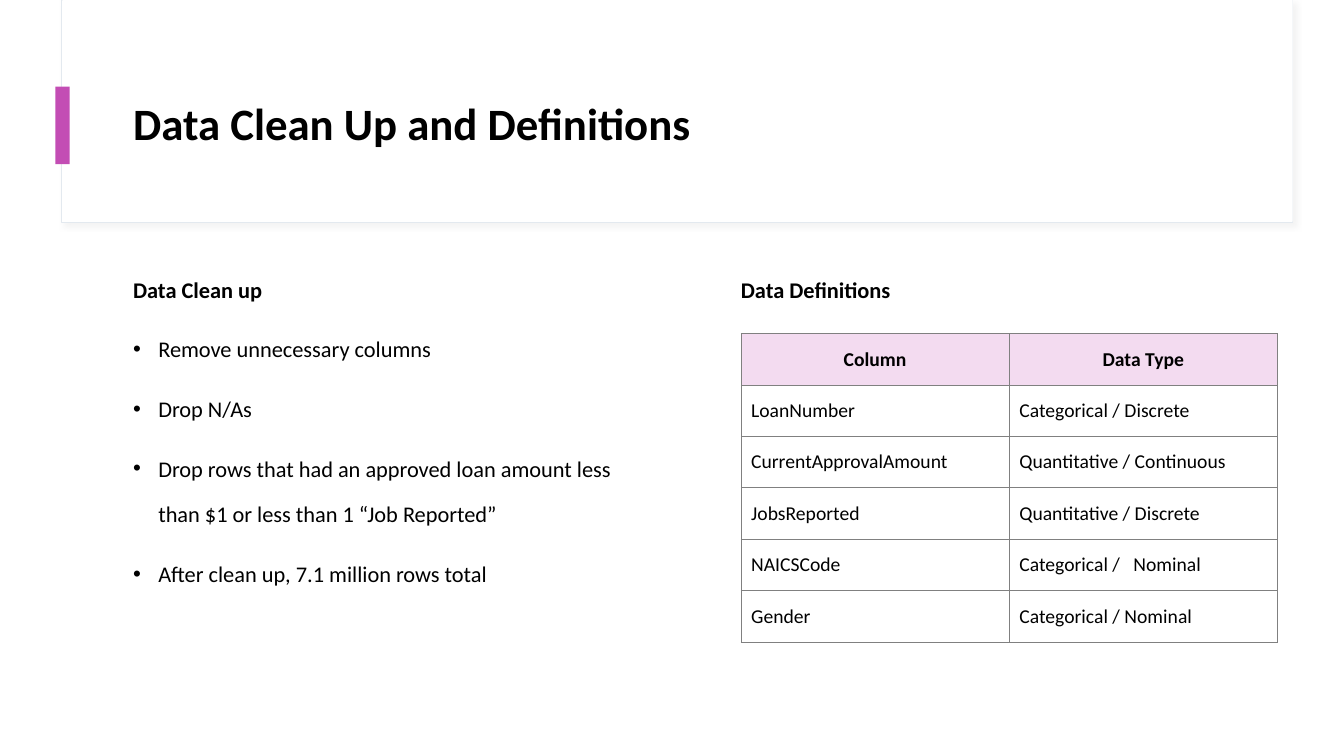
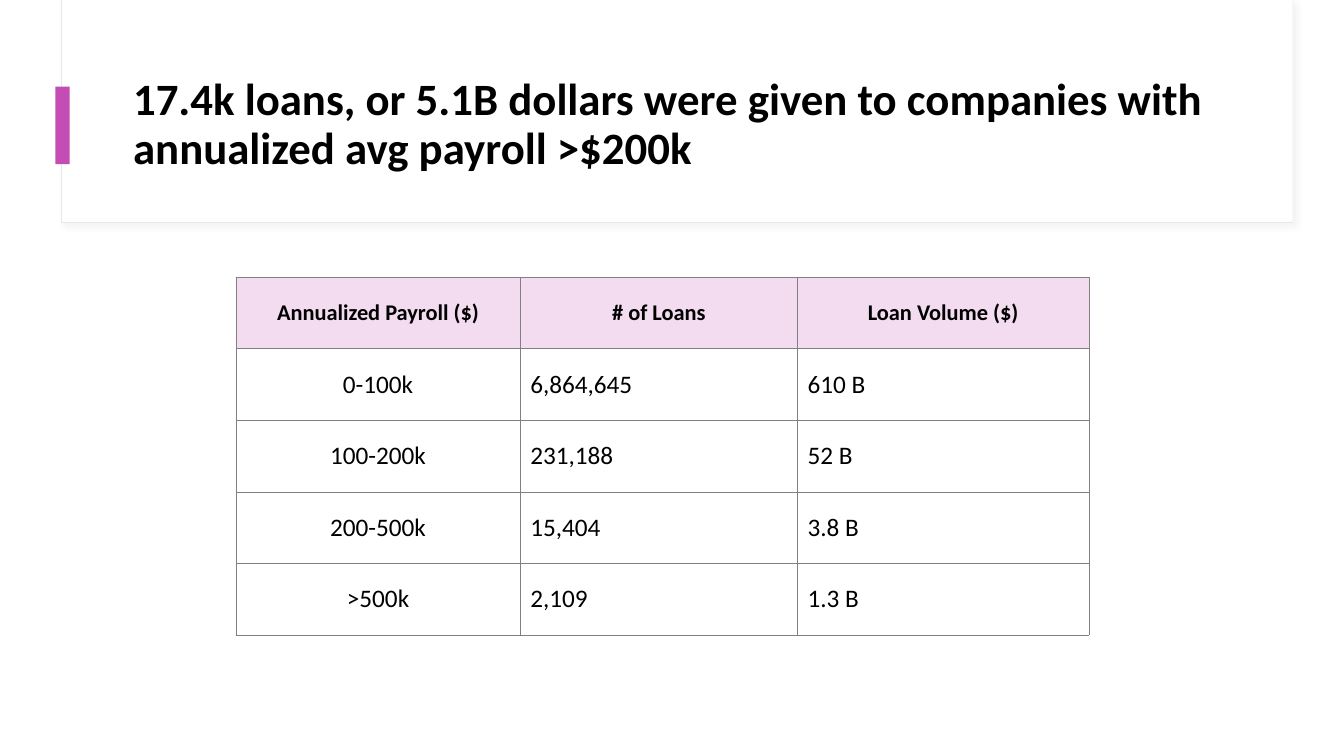
from lxml import etree
from pptx import Presentation
from pptx.dml.color import RGBColor
from pptx.enum.shapes import MSO_SHAPE
from pptx.enum.text import MSO_ANCHOR, MSO_AUTO_SIZE, PP_ALIGN
from pptx.oxml.ns import qn
from pptx.util import Inches, Pt

RECT = MSO_SHAPE.RECTANGLE
TOP, MIDDLE = MSO_ANCHOR.TOP, MSO_ANCHOR.MIDDLE
LEFT, CENTER = PP_ALIGN.LEFT, PP_ALIGN.CENTER
FIXED = MSO_AUTO_SIZE.NONE
TITLE_AND_CONTENT, TITLE_ONLY = 1, 5

# Shared style
FONT = "Calibri"
BLACK, WHITE, ACCENT = "000000", "FFFFFF", "C34DB4"
BAND_LINE, BAND_SHADOW = "E3E9EF", "D9D9D9"
HEADER_FILL, GRID = "F3DBF0", "808080"
TITLE_BOX = (1.22, 0.6, 11.12, 1.29)
BODY_BOX = (1.22, 2.5, 5.1, 4.25)
TITLE_FORMAT = {"alignment": LEFT, "line_spacing": 0.9}
BODY_FORMAT = {"alignment": LEFT, "line_spacing": 1.7, "space_before": Pt(10)}
LABEL_FORMAT = {"line_spacing": 1.7}

# Title band: box, fill, line
BAND = [
    ((0.61, 0, 12.21, 2.21), WHITE, BAND_LINE),
    ((0.62, 0, 12.2, 2.2), WHITE, None),
    ((0.55, 0.86, 0.14, 0.77), ACCENT, None),
]

# Content
CLEANUP = {
    "title": "Data Clean Up and Definitions",
    "heading": "Data Clean up",
    "bullets": [
        "Remove unnecessary columns",
        "Drop N/As",
        "Drop rows that had an approved loan amount less than $1 or less than 1 “Job Reported”",
        "After clean up, 7.1 million rows total",
    ],
    "label": "Data Definitions",
    "table": {
        "left": 7.35, "top": 3.31, "cols": (2.66, 2.66), "row": 0.51,
        "sizes": (14, 14), "aligns": (LEFT, LEFT),
        "rows": [
            ("Column", "Data Type"),
            ("LoanNumber", "Categorical / Discrete"),
            ("CurrentApprovalAmount", "Quantitative / Continuous"),
            ("JobsReported", "Quantitative / Discrete"),
            ("NAICSCode", "Categorical /   Nominal"),
            ("Gender", "Categorical / Nominal"),
        ],
    },
}
PAYROLL = {
    "title": "17.4k loans, or 5.1B dollars were given to companies with "
             "annualized avg payroll >$200k",
    "table": {
        "left": 2.34, "top": 2.75, "cols": (2.82, 2.75, 2.89), "row": 0.71,
        "sizes": (16, 18), "aligns": (CENTER, LEFT, LEFT),
        "rows": [
            ("Annualized Payroll ($)", "# of Loans", "Loan Volume ($)"),
            ("0-100k", "6,864,645", "610 B"),
            ("100-200k", "231,188", "52 B"),
            ("200-500k", "15,404", "3.8 B"),
            (">500k", "2,109", "1.3 B"),
        ],
    },
}


def rgb(color):
    return RGBColor.from_string(color)


def inches(values):
    return [Inches(v) for v in values]


def place(sp, box):
    sp.left, sp.top, sp.width, sp.height = inches(box)


def add_xml(parent, tag, **attrs):
    return etree.SubElement(parent, qn(tag), {k: str(v) for k, v in attrs.items()})


def write(p, text, size, bold=False, **formats):
    for name, value in formats.items():
        setattr(p, name, value)
    r = p.add_run()
    r.text = text
    for name, value in {"name": FONT, "size": Pt(size), "bold": bold}.items():
        setattr(r.font, name, value)
    r.font.color.rgb = rgb(BLACK)


def set_frame(tf, anchor):
    tf.word_wrap, tf.auto_size, tf.vertical_anchor = True, FIXED, anchor


def set_bullet(p, char=None):
    pPr = p._p.get_or_add_pPr()
    indent = Inches(0.25) if char else 0
    pPr.set("marL", str(indent))
    pPr.set("indent", str(-indent))
    if char:
        add_xml(pPr, "a:buFont", typeface="Arial")
        add_xml(pPr, "a:buChar", char=char)
    else:
        add_xml(pPr, "a:buNone")


def add_band(prs, s):
    """Draw the title band and move it behind everything on the master."""
    tree = prs.slide_master.shapes._spTree
    for i, (box, fill, line) in enumerate(BAND):
        sp = s.shapes.add_shape(RECT, *inches(box))
        sp.shadow.inherit = False
        sp.fill.solid()
        sp.fill.fore_color.rgb = rgb(fill)
        if line:
            sp.line.color.rgb = rgb(line)
            sp.line.width = Pt(0.75)
            effects = sp._element.spPr.find(qn("a:effectLst"))
            shadow = add_xml(effects, "a:outerShdw", blurRad=Pt(4), dist=Pt(3),
                             dir=45 * 60000, algn="tl", rotWithShape=0)
            color = add_xml(shadow, "a:srgbClr", val=BAND_SHADOW)
            add_xml(color, "a:alpha", val=30000)
        else:
            sp.line.fill.background()
        sp._element.nvSpPr.cNvPr.set("id", str(100 + i))
        tree.insert(2 + i, sp._element)


def add_title(s, text):
    title = s.shapes.title
    place(title, TITLE_BOX)
    set_frame(title.text_frame, MIDDLE)
    write(title.text_frame.paragraphs[0], text, 32, True, **TITLE_FORMAT)


def add_body(s, heading, bullets):
    body = s.placeholders[1]
    place(body, BODY_BOX)
    tf = body.text_frame
    set_frame(tf, TOP)
    write(tf.paragraphs[0], heading, 16, True, **BODY_FORMAT)
    set_bullet(tf.paragraphs[0])
    for text in bullets:
        p = tf.add_paragraph()
        write(p, text, 16, **BODY_FORMAT)
        set_bullet(p, "•")


def add_label(s, text):
    tf = s.shapes.add_textbox(*inches((7.25, 2.5, 3.29, 0.5))).text_frame
    set_frame(tf, TOP)
    write(tf.paragraphs[0], text, 16, True, **LABEL_FORMAT)


def set_borders(cell):
    tcPr = cell._tc.get_or_add_tcPr()
    for side in "LRTB":
        ln = add_xml(tcPr, f"a:ln{side}", w=Pt(0.5))
        add_xml(add_xml(ln, "a:solidFill"), "a:srgbClr", val=GRID)


def add_table(s, left, top, cols, row, sizes, aligns, rows):
    box = (left, top, sum(cols), row * len(rows))
    table = s.shapes.add_table(len(rows), len(cols), *inches(box)).table
    table.first_row = table.horz_banding = False
    for column, width in zip(table.columns, cols):
        column.width = Inches(width)
    for i, texts in enumerate(rows):
        header = i == 0
        table.rows[i].height = Inches(row)
        for j, text in enumerate(texts):
            cell = table.cell(i, j)
            align = CENTER if header else aligns[j]
            cell.vertical_anchor = MIDDLE
            cell.margin_top = cell.margin_right = cell.margin_bottom = Inches(0.07)
            cell.margin_left = Inches(0.07 if align == CENTER else 0.1)
            set_borders(cell)
            if header:
                cell.fill.solid()
                cell.fill.fore_color.rgb = rgb(HEADER_FILL)
            else:
                cell.fill.background()
            write(cell.text_frame.paragraphs[0], text, sizes[0 if header else 1],
                  header, alignment=align)


def main():
    prs = Presentation()
    prs.slide_width, prs.slide_height = inches((13.33, 7.5))

    # Clean up and definitions
    s = prs.slides.add_slide(prs.slide_layouts[TITLE_AND_CONTENT])
    add_band(prs, s)
    add_title(s, CLEANUP["title"])
    add_body(s, CLEANUP["heading"], CLEANUP["bullets"])
    add_table(s, **CLEANUP["table"])
    add_label(s, CLEANUP["label"])

    # Loans by payroll
    s = prs.slides.add_slide(prs.slide_layouts[TITLE_ONLY])
    add_title(s, PAYROLL["title"])
    add_table(s, **PAYROLL["table"])

    prs.save("out.pptx")


if __name__ == "__main__":
    main()
